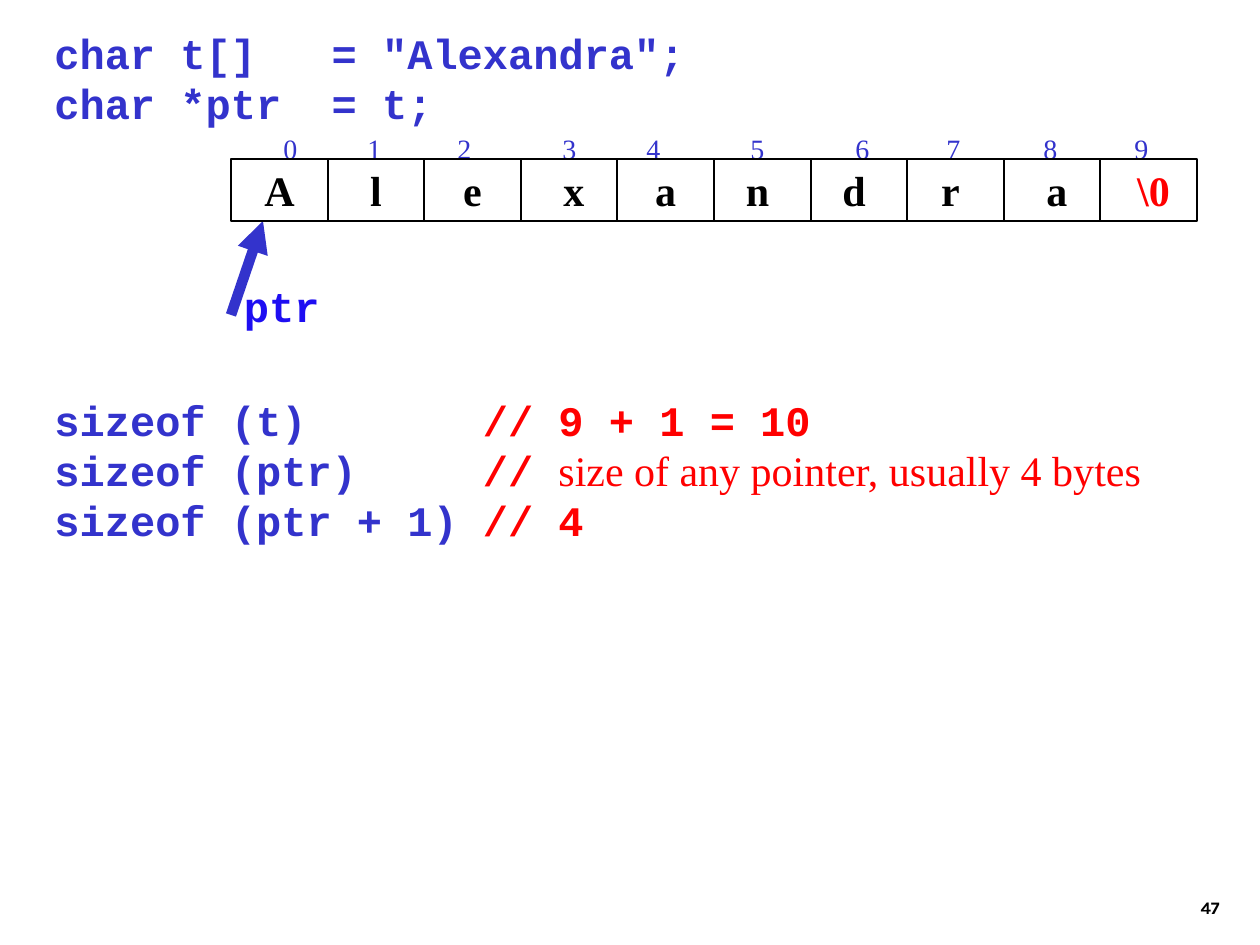
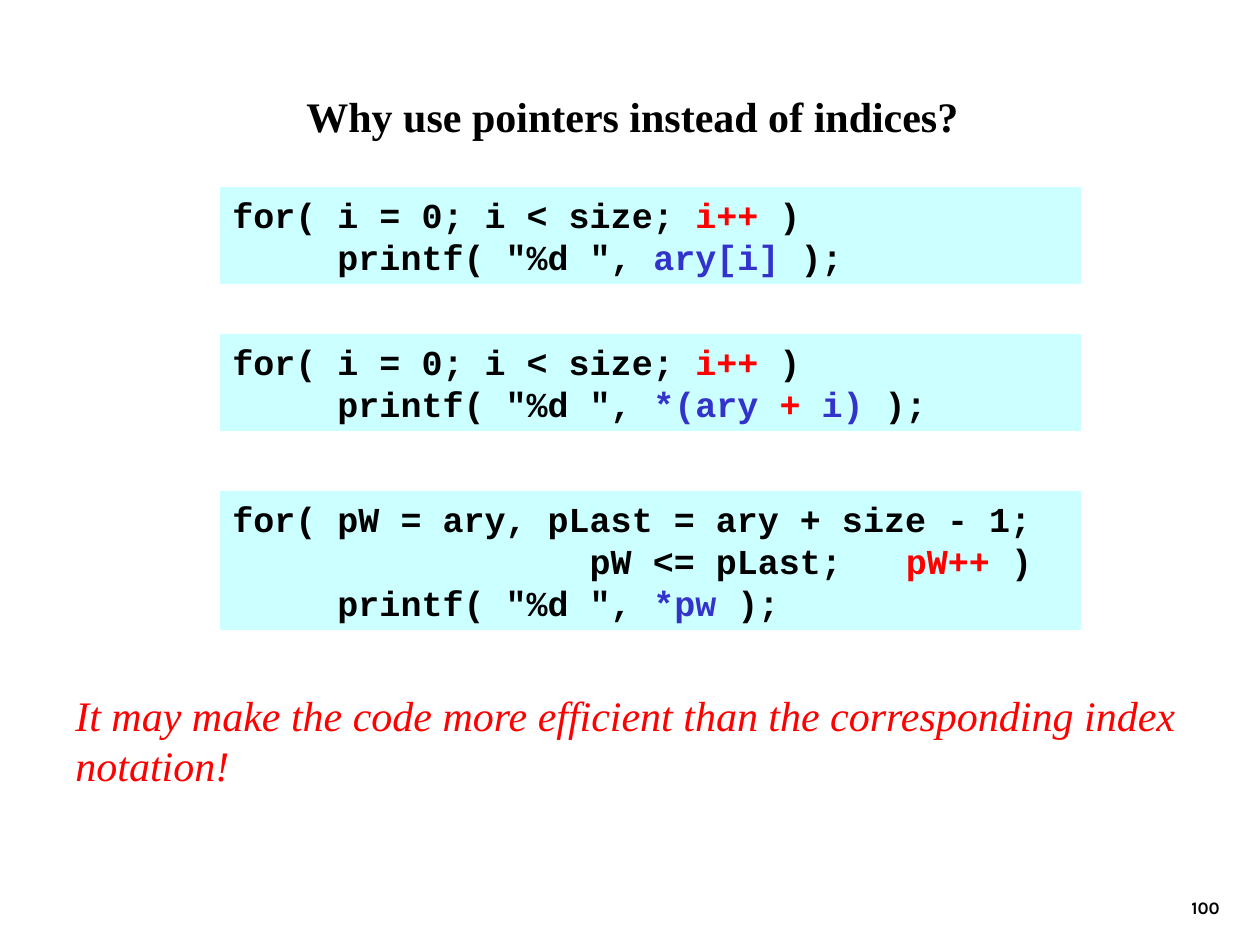
from lxml.etree import SubElement
from pptx import Presentation
from pptx.dml.color import RGBColor
from pptx.enum.shapes import MSO_CONNECTOR, MSO_SHAPE
from pptx.enum.text import MSO_ANCHOR, PP_ALIGN
from pptx.oxml.ns import qn
from pptx.util import Emu, Pt

PX = 914400 // 126
BLACK = RGBColor(0, 0, 0)
RED = RGBColor(0xFF, 0, 0)
BLUE = RGBColor(0x33, 0x33, 0xCC)
BRIGHT_BLUE = RGBColor(0x1E, 0x0E, 0xF2)
PALE_CYAN = RGBColor(0xCC, 0xFF, 0xFF)
CODE, SERIF, SANS = "Courier New", "Times New Roman", "Karla"

LOOP_HEAD = [("for( i = 0; i < size; ", BLACK), ("i++", RED), (" )", BLACK)]
PRINT_HEAD, PRINT_TAIL = ('     printf( "%d ", ', BLACK), (" );", BLACK)
LOOPS = [
    ((220, 187, 861, 97), [LOOP_HEAD, [PRINT_HEAD, ("ary[i]", BLUE), PRINT_TAIL]]),
    ((220, 334, 861, 97), [
        LOOP_HEAD,
        [PRINT_HEAD, ("*(ary ", BLUE), ("+ ", RED), ("i)", BLUE), PRINT_TAIL]]),
    ((220, 491, 861, 139), [
        [("for( pW = ary, pLast = ary + size - 1;", BLACK)],
        [("                 pW <= pLast;   ", BLACK), ("pW++", RED), (" )", BLACK)],
        [PRINT_HEAD, ("*pw", BLUE), PRINT_TAIL]]),
]
SIZES = [
    [("sizeof (t)       ", BLUE), ("// 9 + 1 = 10", RED)],
    [("sizeof (ptr)     ", BLUE), ("// ", RED),
     ("size of any pointer, usually 4 bytes", RED, SERIF, False)],
    [("sizeof (ptr + 1) ", BLUE), ("// 4", RED)],
]
LETTERS = ["A", "l", "e", "x", "a", "n", "d", "r", "a", "\\0"]
LETTER_SHIFTS = [0, 0, 0, 10, 0, -10, -10, -10, 10, 10]
INDEX_STOPS = [40, 124, 214, 319, 403, 507, 612, 703, 800, 891]


def px(*lengths):
    """Turn pixel lengths into EMU."""
    return [Emu(length * PX) for length in lengths]


def write(shape, lines, size, font=CODE, bold=True, italic=False,
          align=PP_ALIGN.LEFT, anchor=MSO_ANCHOR.TOP, wrap=True):
    """Fill a shape with lines of (text, colour[, font, bold]) runs."""
    frame = shape.text_frame
    frame.word_wrap = wrap
    frame.vertical_anchor = anchor
    for number, line in enumerate(lines):
        paragraph = frame.add_paragraph() if number else frame.paragraphs[0]
        paragraph.alignment = align
        for text, colour, *style in line:
            run = paragraph.add_run()
            run.text = text
            run.font.name, run.font.bold = style or (font, bold)
            run.font.size = Pt(size)
            run.font.italic = italic
            run.font.color.rgb = colour
    return frame


def text_box(slide, box, lines, size, **style):
    """Add a text box at a pixel box."""
    return write(slide.shapes.add_textbox(*px(*box)), lines, size, **style)


def rectangle(slide, box, fill=None, line=None):
    """Add a flat rectangle with an optional fill and outline."""
    shape = slide.shapes.add_shape(MSO_SHAPE.RECTANGLE, *px(*box))
    shape.shadow.inherit = False
    if fill is None:
        shape.fill.background()
    else:
        shape.fill.solid()
        shape.fill.fore_color.rgb = fill
    if line is None:
        shape.line.fill.background()
    else:
        shape.line.color.rgb = line
        shape.line.width = Pt(0.75)
    return shape


def page_number(slide, number):
    """Add the page number in the lower right corner."""
    text_box(slide, (970, 861, 262, 63), [[(str(number), BLACK)]], 10, font=SANS,
             align=PP_ALIGN.RIGHT, anchor=MSO_ANCHOR.BOTTOM)


def index_row(slide, box):
    """Add the array indices on tab stops across the box."""
    digits = "".join(f"\t{index}" for index in range(len(INDEX_STOPS)))
    frame = text_box(slide, box, [[(digits, BLUE)]], 16, font=SERIF, bold=False,
                     anchor=MSO_ANCHOR.MIDDLE)
    stops = SubElement(frame.paragraphs[0]._p.get_or_add_pPr(), qn("a:tabLst"))
    for stop in INDEX_STOPS:
        SubElement(stops, qn("a:tab"), pos=str(stop * PX), algn="l")


def letter_cells(slide, box):
    """Divide the box into one equal cell per letter."""
    left, top, width, height = box
    edges = [left + round(width * i / len(LETTERS)) for i in range(len(LETTERS) + 1)]
    for letter, shift, start, end in zip(LETTERS, LETTER_SHIFTS, edges, edges[1:]):
        cell = rectangle(slide, (start, top, end - start, height), line=BLACK)
        colour = RED if letter == "\\0" else BLACK
        frame = write(cell, [[(letter, colour)]], 24, font=SERIF,
                      align=PP_ALIGN.CENTER, anchor=MSO_ANCHOR.MIDDLE)
        frame.margin_left, frame.margin_right = px(12 + max(shift, 0), 12 + max(-shift, 0))


def pointer(slide, box):
    """Add the arrow from the bottom left of the box and its label."""
    left, top, width, height = box
    arrow = slide.shapes.add_connector(
        MSO_CONNECTOR.STRAIGHT, *px(left, top + height, left + 32, top))
    arrow.line.color.rgb = BLUE
    arrow.line.width = Pt(6)
    SubElement(arrow.line._get_or_add_ln(), qn("a:tailEnd"), type="triangle")
    SubElement(arrow._element.spPr, qn("a:effectLst"))
    text_box(slide, (left, top + 53, width, 63), [[("ptr", BRIGHT_BLUE)]], 24,
             align=PP_ALIGN.RIGHT, wrap=False)


def array_slide(slide):
    """Show a string array, a pointer to it and their sizes."""
    page_number(slide, 47)
    text_box(slide, (42, 388, 1155, 164), SIZES, 24)
    declarations = ['char t[]   = "Alexandra";', "char *ptr  = t;"]
    text_box(slide, (42, 21, 935, 113), [[(code, BLUE)] for code in declarations], 24)
    pointer(slide, (231, 221, 101, 94))
    index_row(slide, (231, 117, 966, 62))
    letter_cells(slide, (231, 159, 966, 62))


def loops_slide(slide):
    """Compare index loops with a pointer loop."""
    page_number(slide, 100)
    text_box(slide, (294, 84, 693, 63),
             [[("Why use pointers instead of indices?", BLACK)]], 24, font=SERIF)
    for box, code in LOOPS:
        write(rectangle(slide, box, fill=PALE_CYAN), code, 20)
    conclusion = "It may make the code more efficient than the corresponding index notation!"
    text_box(slide, (63, 683, 1166, 113), [[(conclusion, RED)]], 24,
             font=SERIF, bold=False, italic=True)


def main():
    """Build and save the presentation."""
    deck = Presentation()
    deck.slide_width, deck.slide_height = px(1260, 945)
    for fill_slide in (array_slide, loops_slide):
        fill_slide(deck.slides.add_slide(deck.slide_layouts[6]))
    deck.save("out.pptx")


if __name__ == "__main__":
    main()
